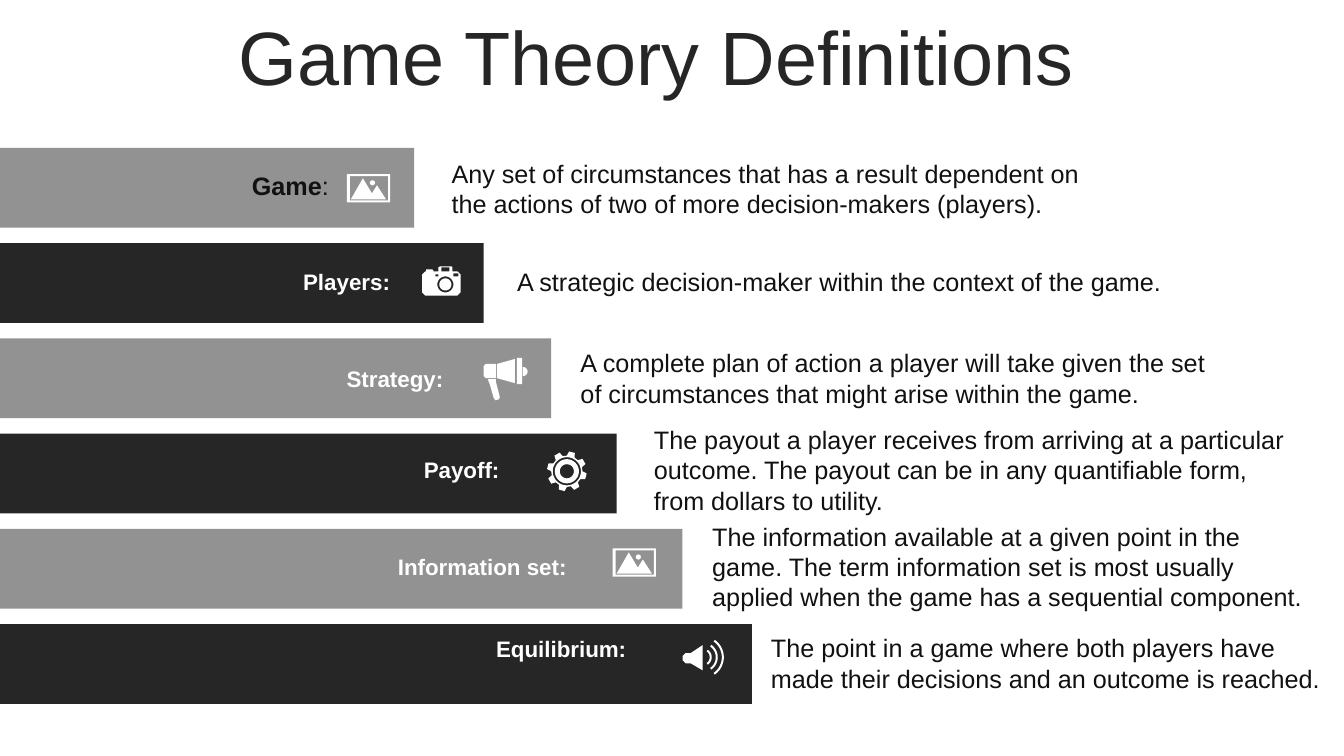
from math import cos, radians, sin

from pptx import Presentation
from pptx.dml.color import RGBColor
from pptx.enum.shapes import MSO_SHAPE
from pptx.enum.text import MSO_ANCHOR, PP_ALIGN
from pptx.util import Cm, Pt

RECTANGLE = MSO_SHAPE.RECTANGLE
MIDDLE, TOP = MSO_ANCHOR.MIDDLE, MSO_ANCHOR.TOP
LEFT, CENTER = PP_ALIGN.LEFT, PP_ALIGN.CENTER

COLORS = {"dark": "262626", "gray": "929292", "ink": "111111", "white": "FFFFFF"}
FONT = "Arial"
ICON_UNIT = Cm(2.54) / 100
BAR_TOP, BAR_STEP, BAR_HEIGHT = 3.73, 2.4, 2.01


# Icon outlines, in icon units from the icon's top left corner
def arc(x, y, radius, start=0, end=360, steps=32):
    angles = [radians(start + (end - start) * i / steps) for i in range(steps + 1)]
    return [(x + radius * cos(angle), y + radius * sin(angle)) for angle in angles]


def rect(left, top, right, bottom):
    return [(left, top), (right, top), (right, bottom), (left, bottom)]


def gear_outline(center, teeth=8):
    points = []
    for tooth in range(teeth):
        middle = 360 / teeth * tooth - 75
        for radius, offset in ((15.5, -15), (19.8, -8.5), (19.8, 8.5), (15.5, 15)):
            points += arc(center, center, radius, middle + offset, middle + offset, 1)[:1]
    return points


def sound_wave(radius):
    return arc(20, 17, radius, -55, 55) + arc(20, 17, radius - 2, 55, -55)


PHOTO = [
    rect(0, 0, 43, 28), rect(3, 2, 41, 26),
    [(16, 4), (25, 19), (30, 11), (39, 25), (4, 25)],
    arc(25.5, 8.5, 2.5),
]
CAMERA = [
    [(18, 0), (29, 0), (30, 1), (30, 5), (35, 5), (38, 8), (38, 26), (35, 29), (3, 29),
     (0, 26), (0, 8), (3, 5), (4, 5), (4, 3), (10, 3), (11, 4), (11, 5), (16, 5), (16, 1)],
    arc(23, 18, 8), arc(23, 18, 6),
    rect(13, 8, 16, 10), rect(31, 7, 36, 10), rect(19, 1, 27, 5),
]
MEGAPHONE = [
    [(12, 21), (12, 23), (16, 39), (15, 41), (12, 42), (10, 40), (6, 26), (4, 21)],
    [(2, 6), (12, 6), (12, 20), (2, 20), (0, 18), (0, 8)],
    [(31, 1), (31, 25), (13, 20), (13, 6)],
    rect(33, 0, 38, 26), arc(39, 13.5, 4.5, -90, 90),
]
GEAR = [gear_outline(19.5)] + [arc(19.5, 19.5, radius) for radius in (14, 12, 7)]
SPEAKER = [
    [(20, 5), (20, 30), (8, 23), (3, 23), (0, 20), (0, 16), (3, 13), (8, 13)],
] + [sound_wave(radius) for radius in (9, 15, 21)]

# Bar width, label, label box, icon, icon place, definition, definition box
ROWS = [
    (10.44, "Game", (6.1, 4.17, 2.46, 1.02), PHOTO, (8.74, 4.39),
     "Any set of circumstances that has a result dependent on the actions of two "
     "of more decision-makers (players).", (11.13, 3.86, 17.22, 1.8)),
    (12.19, "Players:", (7.06, 6.63, 3.35, 0.94), CAMERA, (10.64, 6.71),
     "A strategic decision-maker within the context of the game.",
     (12.78, 6.58, 16.89, 1.02)),
    (13.89, "Strategy:", (8.28, 9.07, 3.35, 0.94), MEGAPHONE, (12.19, 9.02),
     "A complete plan of action a player will take given the set of circumstances "
     "that might arise within the game.", (14.38, 8.64, 16.94, 1.8)),
    (15.54, "Payoff:", (9.96, 11.38, 3.35, 0.94), GEAR, (13.79, 11.38),
     "The payout a player receives from arriving at a particular outcome. The payout "
     "can be in any quantifiable form, from dollars to utility.",
     (16.23, 10.57, 16.59, 2.57)),
    (17.2, "Information set:", (9.27, 13.82, 5.77, 0.94), PHOTO, (15.44, 13.82),
     "The information available at a given point in the game. The term information set "
     "is most usually applied when the game has a sequential component.",
     (17.7, 13, 15.39, 2.57)),
    (18.95, "Equilibrium:", (12.14, 15.88, 4.01, 0.94), SPEAKER, (17.2, 16.13),
     "The point in a game where both players have made their decisions and an outcome "
     "is reached.", (19.18, 15.82, 14.38, 1.8)),
]


def add_span(para, text, size=18, color="ink", bold=False):
    span = para.add_run()
    span.text = text
    span.font.name = FONT
    span.font.size = Pt(size)
    span.font.bold = bold
    span.font.color.rgb = RGBColor.from_string(COLORS[color])


class SlideBuilder:
    def __init__(self, page):
        self.page = page

    def paint(self, shape, color):
        shape.shadow.inherit = False
        shape.fill.solid()
        shape.fill.fore_color.rgb = RGBColor.from_string(COLORS[color])
        shape.line.fill.background()

    def bar(self, top, width, color):
        shape = self.page.shapes.add_shape(
            RECTANGLE, 0, Cm(top), Cm(width), Cm(BAR_HEIGHT))
        self.paint(shape, color)

    def text(self, place, text, align=LEFT, anchor=TOP, wrap=True, spacing=None, **style):
        box = self.page.shapes.add_textbox(*map(Cm, place))
        frame = box.text_frame
        frame.word_wrap = wrap
        frame.vertical_anchor = anchor
        para = frame.paragraphs[0]
        para.alignment = align
        para.line_spacing = spacing
        add_span(para, text, **style)
        return para

    def icon(self, place, outlines):
        scaled = [[(x * ICON_UNIT, y * ICON_UNIT) for x, y in outline]
                  for outline in outlines]
        builder = self.page.shapes.build_freeform(*scaled[0][0])
        builder.add_line_segments(scaled[0][1:], close=True)
        for outline in scaled[1:]:
            builder.move_to(*outline[0])
            builder.add_line_segments(outline[1:], close=True)
        self.paint(builder.convert_to_shape(*map(Cm, place)), "white")


def main():
    deck = Presentation()
    deck.slide_width, deck.slide_height = Cm(33.87), Cm(19.05)
    slide = SlideBuilder(deck.slides.add_slide(deck.slide_layouts[6]))

    # Title
    slide.text((0.46, 0.53, 32.16, 2), "Game Theory Definitions", align=CENTER,
               anchor=MIDDLE, spacing=0.9, size=54, color="dark")

    # Bars with label, icon and definition
    for index, row in enumerate(ROWS):
        width, label, label_place, outlines, icon_place, definition, place = row
        slide.bar(BAR_TOP + BAR_STEP * index, width, "dark" if index % 2 else "gray")
        if index == 0:
            para = slide.text(label_place, label, wrap=False, bold=True)
            add_span(para, ":")
        else:
            slide.text(label_place, label, align=CENTER, size=16, color="white", bold=True)
        slide.icon(icon_place, outlines)
        slide.text(place, definition)

    deck.save("out.pptx")


if __name__ == "__main__":
    main()
